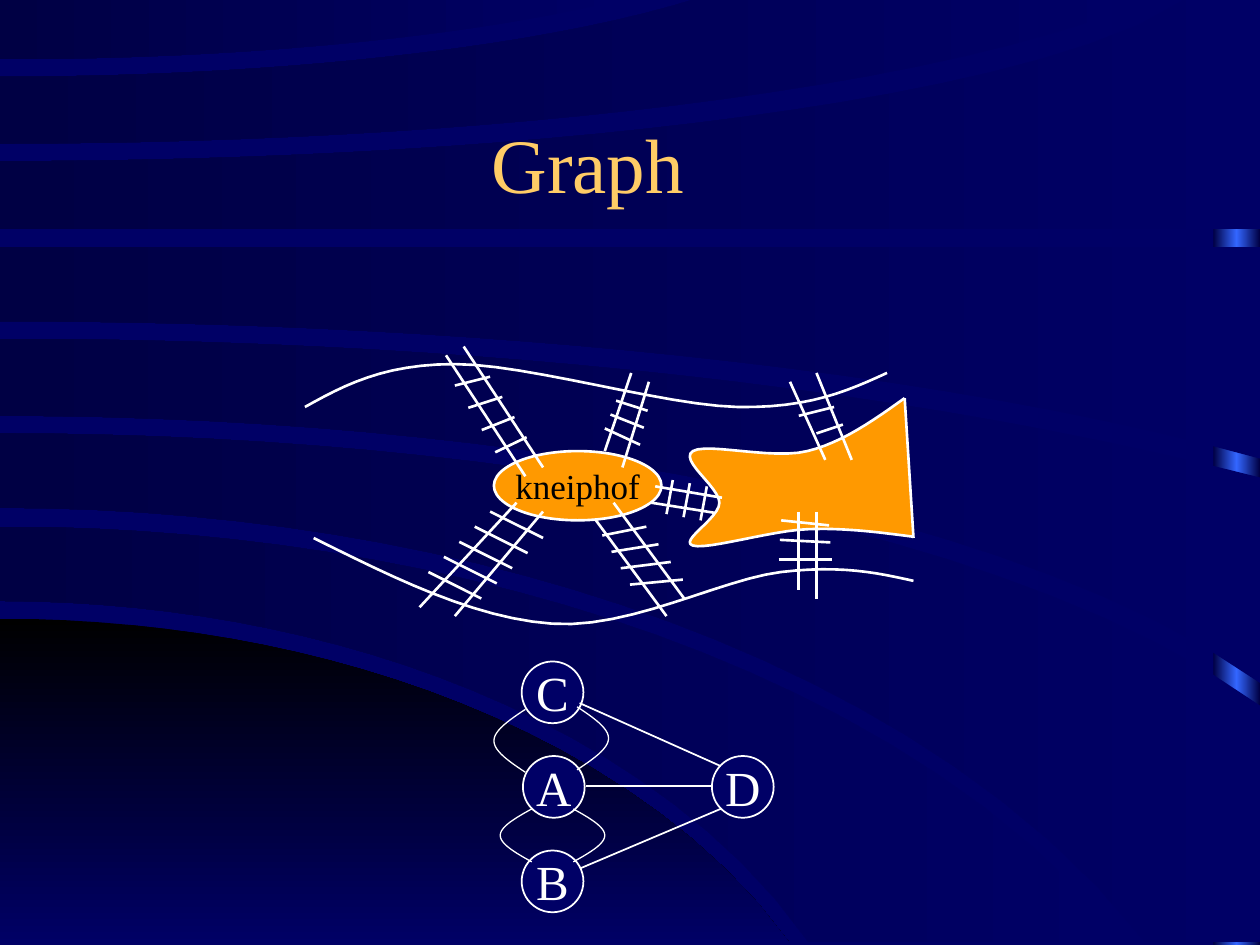
"""Build the Graph slide: the bridges of an old town above their graph."""
from copy import deepcopy
from dataclasses import dataclass
from math import sqrt

from pptx import Presentation
from pptx import util as u
from pptx.dml.color import RGBColor
from pptx.enum import shapes, text
from pptx.oxml import ns
from pptx.oxml import xmlchemy as xml

Point = tuple[float, float]
Ends = tuple[float, float, float, float]
FONT = "Times New Roman"
NAVY, DARK, WHITE, ORANGE = "000066", "000044", "FFFFFF", "FF9900"


@dataclass
class Arc:
    """An elliptic edge that leaves the left side of the page level."""
    start: float
    right: float
    end: float
    reach: float = 1.1

    def points(self, steps: int = 24) -> list[Point]:
        """Return points from left to right."""
        def sag(share: float) -> float:
            return 1 - sqrt(1 - (share / self.reach) ** 2)
        shares = [step / steps for step in range(steps + 1)]
        return [(self.right * share, self.start + (self.end - self.start) * sag(share) / sag(1))
                for share in shares]


@dataclass
class Band:
    """A background sweep between two arcs, with an optional corner at the right."""
    upper: Arc
    lower: Arc
    corners: tuple[Point, ...] = ()
    stops: tuple[str, ...] = (NAVY, DARK)
    angle: int = 180


@dataclass
class Disc:
    """A labelled ellipse."""
    label: str
    left: float
    top: float
    width: float = 0.49
    height: float = 0.49
    fill: str = NAVY
    ink: str = WHITE
    size: int = 28
    weight: float = 1


@dataclass
class Bridge:
    """Two rails and evenly spaced rungs from the first to the last."""
    rails: tuple[Ends, Ends]
    first: Ends
    last: Ends
    count: int = 3

    def lines(self) -> list[Ends]:
        """Return the ends of all rails and rungs."""
        shares = [index / (self.count - 1) for index in range(self.count)]
        rungs = [tuple(a + (b - a) * share for a, b in zip(self.first, self.last))
                 for share in shares]
        return [*self.rails, *rungs]


BANDS = [
    Band(Arc(4.91, 6.28, 7.5), Arc(7.5, 6.28, 7.5), stops=("000000", NAVY), angle=270),
    Band(Arc(4.18, 8.93, 7.48), Arc(4.77, 6.42, 7.48)),
    Band(Arc(3.44, 10, 5.6), Arc(4.03, 9.09, 7.48), corners=((10, 7.48),)),
    Band(Arc(2.69, 10, 3.79, 1.5), Arc(3.3, 10, 5.42)),
    Band(Arc(1.96, 10, 1.96), Arc(2.55, 10, 3.64, 1.3)),
    Band(Arc(1.28, 9.43, -0.02, 1.03), Arc(1.82, 10, 1.82), corners=((10, -0.02),)),
    Band(Arc(0.61, 5.56, -0.02, 1.2), Arc(1.14, 9.17, -0.02)),
    Band(Arc(-0.02, 5.01, -0.02), Arc(0.47, 5.01, -0.02, 1.3)),
]
NORTH_BANK = [(2.42, 3.23), (3.61, 2.89), (5.85, 3.23), (7.04, 2.96)]
SOUTH_BANK = [(7.25, 4.61), (6.2, 4.54), (4.38, 4.95), (2.49, 4.27)]
EAST_LAND = [(7.18, 3.16), (6.41, 3.58), (5.5, 3.58), (5.71, 3.99),
             (5.5, 4.33), (6.41, 4.2), (7.25, 4.26)]
BRIDGES = [
    Bridge(((3.54, 2.82, 4.17, 3.78), (3.68, 2.75, 4.31, 3.71)),
           (3.61, 3.06, 3.89, 2.99), (3.93, 3.59, 4.18, 3.47), 4),
    Bridge(((5.01, 2.96, 4.8, 3.58), (5.15, 3.03, 4.94, 3.71)),
           (4.89, 3.18, 5.14, 3.26), (4.8, 3.4, 5.08, 3.53)),
    Bridge(((6.27, 3.03, 6.55, 3.65), (6.48, 2.96, 6.76, 3.65)),
           (6.34, 3.3, 6.62, 3.23), (6.48, 3.44, 6.69, 3.37), 2),
    Bridge(((6.34, 4.06, 6.34, 4.68), (6.48, 4.06, 6.48, 4.75)),
           (6.2, 4.13, 6.58, 4.17), (6.18, 4.44, 6.6, 4.44)),
    Bridge(((4.1, 3.99, 3.33, 4.82), (4.31, 4.06, 3.61, 4.89)),
           (3.89, 4.06, 4.31, 4.27), (3.4, 4.54, 3.82, 4.75), 5),
    Bridge(((4.73, 4.13, 5.29, 4.89), (4.87, 3.99, 5.43, 4.75)),
           (4.78, 4.25, 5.13, 4.18), (5, 4.64, 5.42, 4.6), 4),
    Bridge(((5.17, 3.99, 5.67, 4.07), (5.2, 3.86, 5.73, 3.95)),
           (5.29, 4.08, 5.34, 3.81), (5.56, 4.13, 5.61, 3.86)),
]
ISLAND = Disc("kneiphof", 3.92, 3.58, 1.33, 0.55, ORANGE, "000000", 20, 1.5)
NODES = [Disc("C", 4.14, 5.25), Disc("A", 4.15, 6), Disc("D", 5.65, 6), Disc("B", 4.14, 6.75)]
EDGES = [(4.65, 6.24, 5.65, 6.24), (4.6, 5.58, 5.72, 6.08), (5.72, 6.42, 4.61, 6.89)]
LOOPS = [(4.17, 5.63, -0.25, 0.5), (4.22, 6.42, -0.25, 0.42),
         (4.55, 6.42, 0.25, 0.42), (4.58, 5.61, 0.25, 0.5)]


def color(value: str) -> RGBColor:
    """Turn a hex string into a colour."""
    return RGBColor.from_string(value)


def smooth_axis(knots: list[float], steps: int = 12) -> list[float]:
    """Return one coordinate of a smooth curve through the knots."""
    slopes = [(after - before) / 6 for before, after in zip(knots, knots[2:])]
    slopes = [(knots[1] - slopes[0] - knots[0]) / 2, *slopes,
              (knots[-1] - knots[-2] - slopes[-1]) / 2]
    values = [knots[0]]
    for start, end, leave, arrive in zip(knots, knots[1:], slopes, slopes[1:]):
        for t in (step / steps for step in range(1, steps + 1)):
            values.append(start * (1 - t) ** 3 + 3 * (start + leave) * t * (1 - t) ** 2
                          + 3 * (end - arrive) * t * t * (1 - t) + end * t ** 3)
    return values


def paint_gradient(shape, stops: tuple[str, ...], angle: int) -> None:
    """Give a shape evenly spaced gradient stops, no line and no shadow."""
    shape.shadow.inherit = False
    shape.line.fill.background()
    shape.fill.gradient()
    shape.fill.gradient_angle = angle
    stop_list = shape._element.spPr.find(".//" + ns.qn("a:gsLst"))
    while len(stop_list) < len(stops):
        stop_list.append(deepcopy(stop_list[0]))
    for index, (stop, value) in enumerate(zip(shape.fill.gradient_stops, stops)):
        stop.color.rgb = color(value)
        stop.position = index / (len(stops) - 1)


def add_outline(slide, points: list[Point], close: bool = False):
    """Add a freeform through points given in inches."""
    first, *rest = [(u.Inches(x), u.Inches(y)) for x, y in points]
    builder = slide.shapes.build_freeform(*first)
    builder.add_line_segments(rest, close=close)
    return builder.convert_to_shape()


def add_curve(slide, knots: list[Point], weight: float, fill: str = "") -> None:
    """Draw an open white curve, filled if a colour is given."""
    curve = add_outline(slide, list(zip(*(smooth_axis(axis) for axis in zip(*knots)))))
    curve.shadow.inherit = False
    if fill:
        curve.fill.solid()
        curve.fill.fore_color.rgb = color(fill)
    else:
        curve.fill.background()
    curve.line.color.rgb = color(WHITE)
    curve.line.width = u.Pt(weight)


def add_line(slide, ends: Ends, weight: float) -> None:
    """Draw a straight white line."""
    line = slide.shapes.add_connector(shapes.MSO_CONNECTOR.STRAIGHT, *map(u.Inches, ends))
    line.line.color.rgb = color(WHITE)
    line.line.width = u.Pt(weight)
    line._element.spPr.append(xml.OxmlElement("a:effectLst"))


def write(shape, words: str, size: int, ink: str, wrap: bool) -> None:
    """Centre one run of text in a shape."""
    frame = shape.text_frame
    frame.word_wrap = wrap
    frame.vertical_anchor = text.MSO_ANCHOR.MIDDLE
    para = frame.paragraphs[0]
    para.alignment = text.PP_ALIGN.CENTER
    span = para.add_run()
    span.text = words
    span.font.name, span.font.size = FONT, u.Pt(size)
    span.font.color.rgb = color(ink)


def add_disc(slide, disc: Disc) -> None:
    """Draw a labelled ellipse."""
    place = map(u.Inches, (disc.left, disc.top, disc.width, disc.height))
    oval = slide.shapes.add_shape(shapes.MSO_SHAPE.OVAL, *place)
    oval.shadow.inherit = False
    oval.fill.solid()
    oval.fill.fore_color.rgb = color(disc.fill)
    oval.line.color.rgb = color(WHITE)
    oval.line.width = u.Pt(disc.weight)
    write(oval, disc.label, disc.size, disc.ink, False)


def add_backdrop(slide) -> None:
    """Paint the background, the side strip and the sweeping bands."""
    slide.background.fill.solid()
    slide.background.fill.fore_color.rgb = color(NAVY)
    strip = slide.shapes.add_shape(shapes.MSO_SHAPE.RECTANGLE,
                                   *map(u.Inches, (9.63, 0, 0.37, 7.5)))
    paint_gradient(strip, (DARK, "3366FF", DARK), 180)
    for band in BANDS:
        outline = [*band.upper.points(), *band.corners, *reversed(band.lower.points())]
        paint_gradient(add_outline(slide, outline, True), band.stops, band.angle)


def main() -> None:
    """Build and save the deck."""
    deck = Presentation()
    deck.slide_width, deck.slide_height = u.Inches(10), u.Inches(7.5)
    page = deck.slides.add_slide(deck.slide_layouts[6])
    add_backdrop(page)
    title = page.shapes.add_textbox(*map(u.Inches, (0.5, 0.83, 8.33, 0.92)))
    write(title, "Graph", 44, "FFCC66", True)
    add_disc(page, ISLAND)
    for knots, fill in ((NORTH_BANK, ""), (EAST_LAND, ORANGE), (SOUTH_BANK, "")):
        add_curve(page, knots, 1.5, fill)
    add_line(page, (7.18, 3.16, 7.25, 4.27), 1.5)
    for ends in (ends for bridge in BRIDGES for ends in bridge.lines()):
        add_line(page, ends, 1.5)
    for node in NODES:
        add_disc(page, node)
    for ends in EDGES:
        add_line(page, ends, 1)
    for x, y, bulge, drop in LOOPS:
        add_curve(page, [(x, y), (x + bulge, y + drop / 2), (x, y + drop)], 0.75)
    deck.save("out.pptx")


if __name__ == "__main__":
    main()
